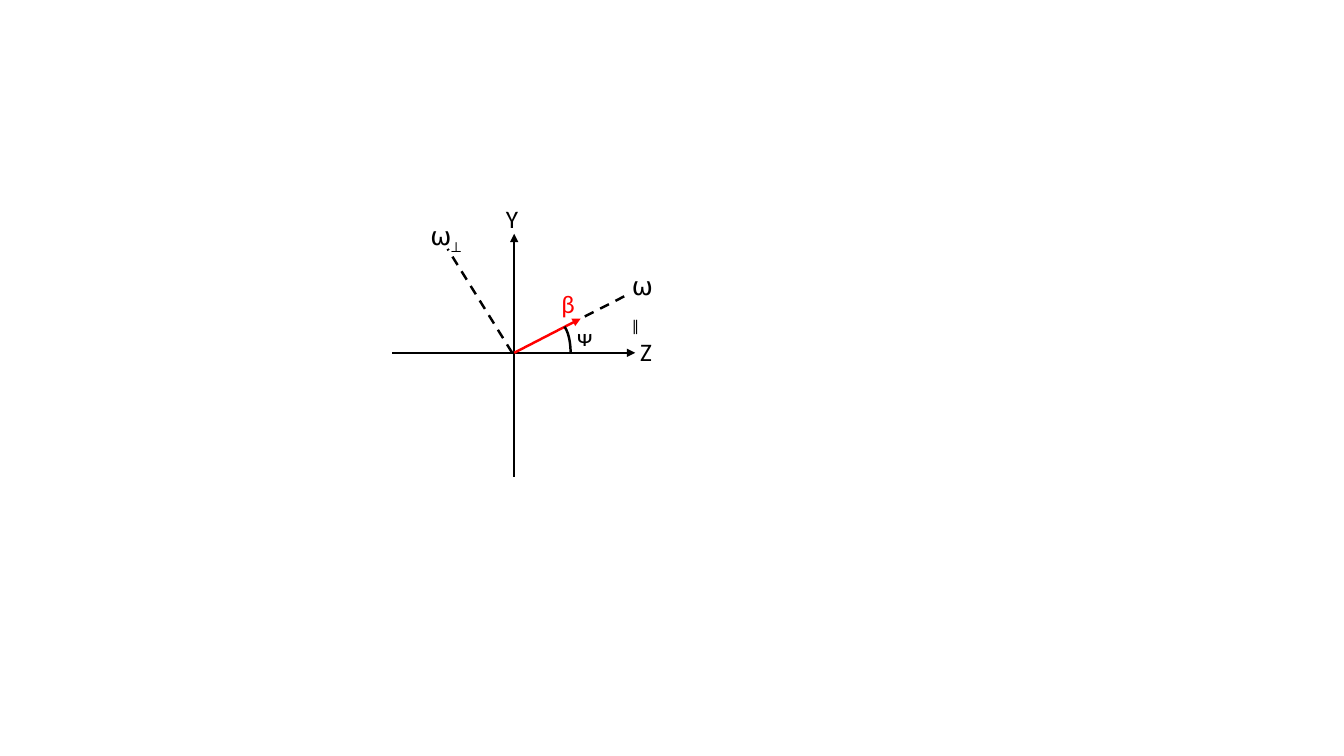
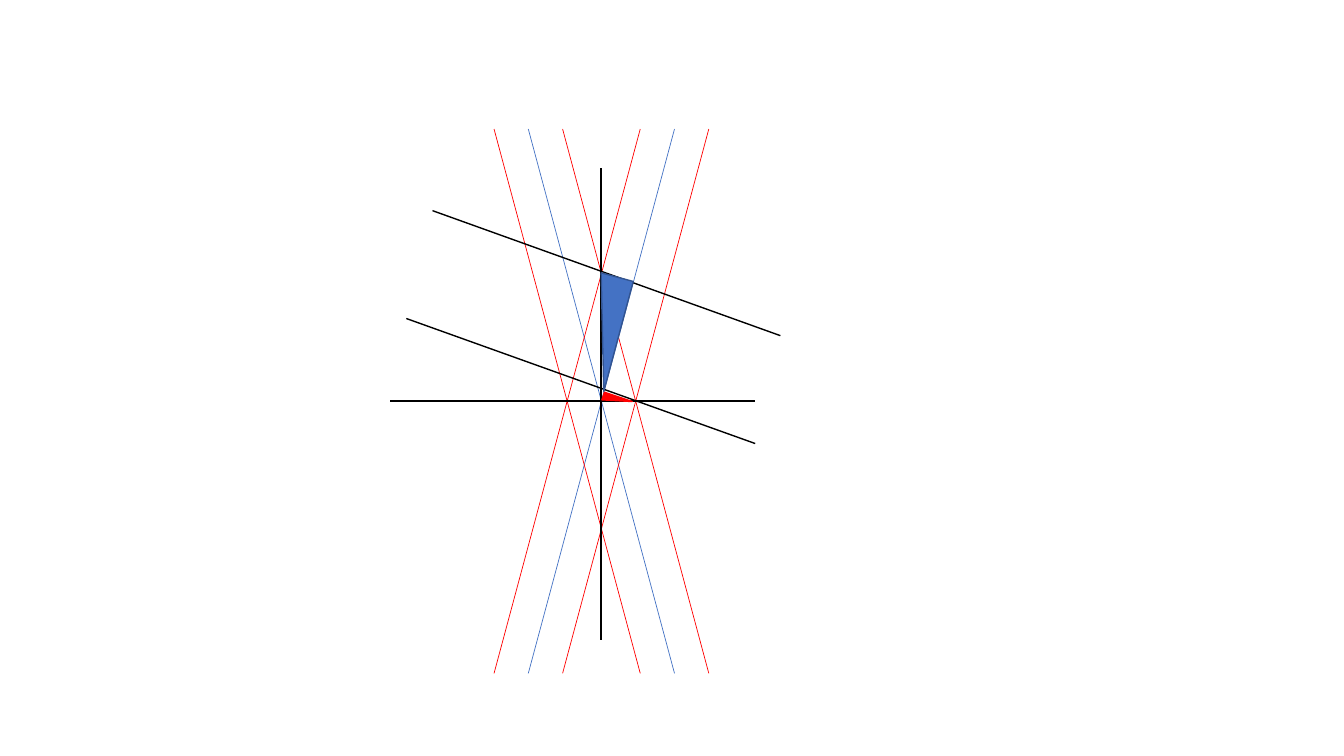
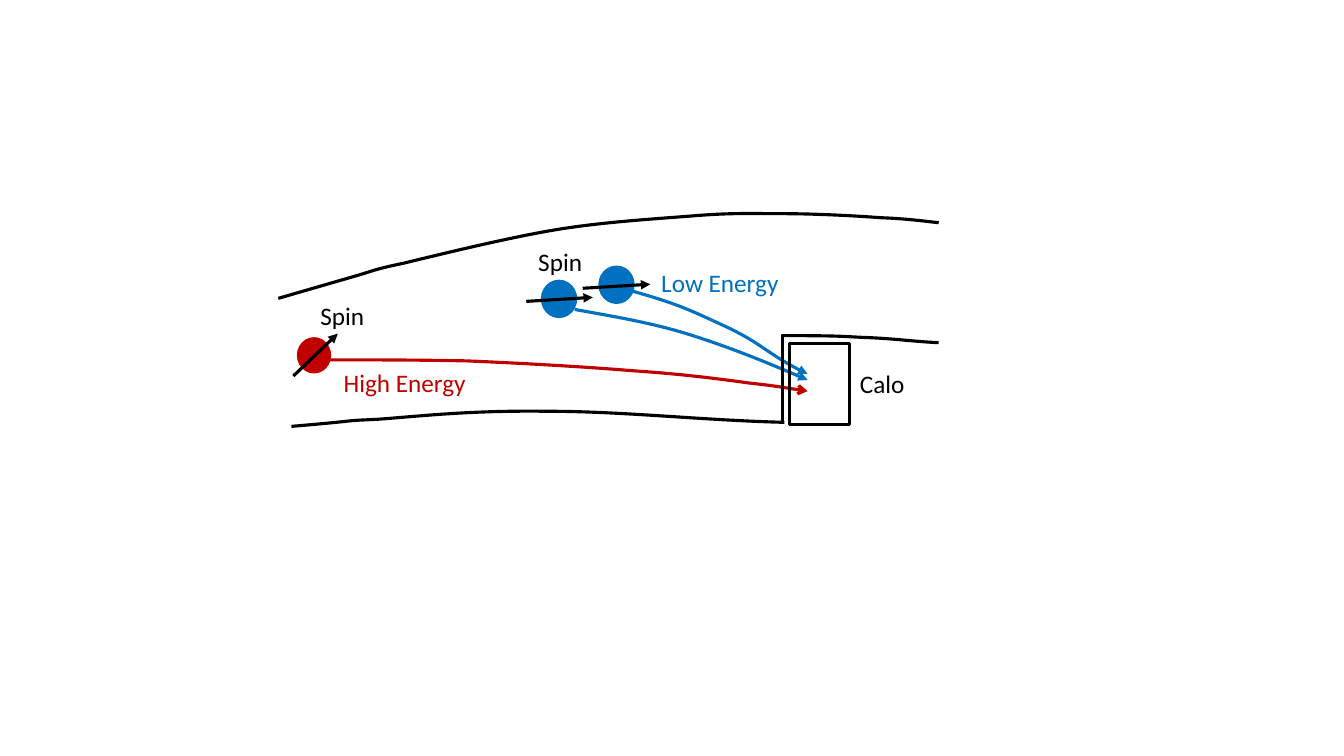
"""Three physics sketches: spin axes, crossing bands and decay paths into a calorimeter."""
from lxml.etree import SubElement
from pptx import Presentation
from pptx.dml.color import RGBColor
from pptx.enum.dml import MSO_LINE
from pptx.enum.shapes import MSO_CONNECTOR, MSO_SHAPE
from pptx.enum.text import MSO_AUTO_SIZE
from pptx.oxml.ns import qn
from pptx.util import Inches, Pt

BLACK = RGBColor(0x00, 0x00, 0x00)
RED = RGBColor(0xFF, 0x00, 0x00)
BLUE = RGBColor(0x44, 0x72, 0xC4)
EDGE_BLUE = RGBColor(0x32, 0x54, 0x91)
LOW_BLUE = RGBColor(0x00, 0x70, 0xC0)
HIGH_RED = RGBColor(0xC0, 0x00, 0x00)
FONT = "Calibri"


def add_label(slide, text, left, top, width, color=BLACK, subscript="", wrap=False):
    box = slide.shapes.add_textbox(Inches(left), Inches(top), Inches(width), Inches(0.4))
    frame = box.text_frame
    frame.word_wrap = wrap
    frame.auto_size = MSO_AUTO_SIZE.SHAPE_TO_FIT_TEXT
    for part in filter(None, (text, subscript)):
        run = frame.paragraphs[0].add_run()
        run.text = part
        run.font.name = FONT
        run.font.size = Pt(18)
        run.font.color.rgb = color
    if subscript:
        run.font._element.set("baseline", "-25000")


def style_outline(shape, color, width, arrow=None, dash=None):
    shape.line.color.rgb = color
    shape.line.width = Pt(width)
    if dash:
        shape.line.dash_style = dash
    properties = shape._element.spPr
    if arrow:
        SubElement(properties.find(qn("a:ln")), qn("a:tailEnd"), type=arrow)
    SubElement(properties, qn("a:effectLst"))


prs = Presentation()
prs.slide_width = Inches(13.33)
prs.slide_height = Inches(7.5)
axes_slide, bands_slide, decay_slide = [
    prs.slides.add_slide(prs.slide_layouts[6]) for _ in range(3)
]

curves = [
    (BLACK, None, (2.76, 2.96), [
        ((3.52, 2.74),),
        ((3.73, 2.68), (3.68, 2.68), (4.01, 2.61)),
        ((4.34, 2.53), (5.03, 2.36), (5.51, 2.28)),
        ((5.99, 2.2), (6.53, 2.17), (6.9, 2.14)),
        ((7.28, 2.11), (7.45, 2.12), (7.76, 2.12)),
        ((8.06, 2.12), (8.47, 2.14), (8.73, 2.16)),
        ((8.99, 2.17), (9.13, 2.19), (9.31, 2.21)),
    ]),
    (BLACK, None, (2.89, 4.23), [
        ((3.71, 4.16), (3.32, 4.18), (3.74, 4.16)),
        ((4.16, 4.13), (4.64, 4.07), (5.42, 4.08)),
        ((6.19, 4.08), (6.96, 4.17), (7.78, 4.19)),
    ]),
    (BLACK, None, (7.75, 3.33), [
        ((8.4, 3.33), (8.35, 3.34), (8.61, 3.35)),
        ((8.87, 3.36), (9.08, 3.39), (9.31, 3.4)),
    ]),
    (LOW_BLUE, "triangle", (5.7, 3.07), [
        ((6.08, 3.14), (6.46, 3.2), (6.84, 3.32)),
        ((7.22, 3.44), (7.62, 3.6), (8.01, 3.77)),
    ]),
    (LOW_BLUE, "triangle", (6.28, 2.89), [
        ((6.74, 3.02), (6.85, 3.08), (7.2, 3.24)),
        ((7.56, 3.41), (7.6, 3.51), (8.01, 3.71)),
    ]),
    (HIGH_RED, "arrow", (3.26, 3.57), [
        ((3.69, 3.57), (4.11, 3.57), (4.62, 3.58)),
        ((5.12, 3.6), (5.83, 3.64), (6.3, 3.68)),
        ((6.76, 3.71), (7.14, 3.76), (7.43, 3.8)),
        ((7.71, 3.83), (7.86, 3.86), (8.01, 3.88)),
    ]),
]
for color, arrow, start, segments in curves:
    builder = decay_slide.shapes.build_freeform(Inches(start[0]), Inches(start[1]))
    builder.add_line_segments(
        [(Inches(points[-1][0]), Inches(points[-1][1])) for points in segments], close=False)
    curve = builder.convert_to_shape()
    pieces = list(curve._element.spPr.iter(qn("a:lnTo")))
    for piece, points in zip(pieces, segments):
        if len(points) == 3:
            piece.tag = qn("a:cubicBezTo")
            for position, (x, y) in enumerate(points[:2]):
                control = SubElement(piece, qn("a:pt"), x=str(Inches(x) - curve.left),
                                     y=str(Inches(y) - curve.top))
                piece.insert(position, control)
    curve.fill.background()
    style_outline(curve, color, 2.25, arrow=arrow)

for left, top, color, width in (
    (5.95, 2.65, LOW_BLUE, 2.25),
    (5.38, 2.79, LOW_BLUE, 2.25),
    (2.95, 3.35, HIGH_RED, 0.75),
):
    particle = decay_slide.shapes.add_shape(
        MSO_SHAPE.OVAL, Inches(left), Inches(top), Inches(0.33), Inches(0.35))
    particle.fill.solid()
    particle.fill.fore_color.rgb = color
    style_outline(particle, color, width)

strokes = [
    (axes_slide, (5.1, 4.73), (5.1, 2.32), BLACK, 1.5, "triangle", None),
    (axes_slide, (3.89, 3.5), (6.3, 3.5), BLACK, 1.5, "triangle", None),
    (axes_slide, (5.1, 3.5), (5.76, 3.16), RED, 1.75, "triangle", None),
    (axes_slide, (5.8, 3.14), (6.25, 2.91), BLACK, 1.75, None, MSO_LINE.DASH),
    (axes_slide, (5.08, 3.5), (4.44, 2.47), BLACK, 1.75, None, MSO_LINE.DASH),
    (decay_slide, (7.76, 3.32), (7.76, 4.2), BLACK, 2.25, None, None),
]
for shift, color in ((0, BLUE), (0.34, RED), (-0.34, RED)):
    for bottom, top in ((5.24, 6.69), (6.69, 5.24)):
        strokes.append((bands_slide, (bottom + shift, 6.68), (top + shift, 1.28),
                        color, 0.5, None, None))
for start, end in (
    ((4.29, 2.09), (7.74, 3.33)),
    ((5.96, 1.67), (5.96, 6.35)),
    ((3.87, 3.98), (7.49, 3.98)),
    ((4.03, 3.16), (7.49, 4.4)),
):
    strokes.append((bands_slide, start, end, BLACK, 1, None, None))
for start, end in (
    ((2.91, 3.73), (3.35, 3.31)),
    ((5.22, 2.99), (5.88, 2.95)),
    ((5.78, 2.86), (6.45, 2.82)),
):
    strokes.append((decay_slide, start, end, BLACK, 2.25, "triangle", None))

for slide, start, end, color, width, arrow, dash in strokes:
    stroke = slide.shapes.add_connector(
        MSO_CONNECTOR.STRAIGHT, *[Inches(value) for value in (*start, *end)])
    style_outline(stroke, color, width, arrow=arrow, dash=dash)

for left, top, width, height, rotation, fill, edge in (
    (5.81, 2.73, 0.33, 1.13, 195, BLUE, EDGE_BLUE),
    (6.08, 3.83, 0.08, 0.29, 108.6, RED, RED),
):
    wedge = bands_slide.shapes.add_shape(
        MSO_SHAPE.RIGHT_TRIANGLE, Inches(left), Inches(top), Inches(width), Inches(height))
    wedge.rotation = rotation
    wedge.fill.solid()
    wedge.fill.fore_color.rgb = fill
    style_outline(wedge, edge, 1)

angle_arc = axes_slide.shapes.add_shape(
    MSO_SHAPE.ARC, Inches(5.46), Inches(3.22), Inches(0.2), Inches(0.57))
angle_arc.adjustments[0] = 166.96
angle_arc.adjustments[1] = 0
angle_arc.fill.background()
style_outline(angle_arc, BLACK, 1.75)

add_label(axes_slide, "⍵", 6.17, 2.63, 0.47, subscript="∥", wrap=True)
add_label(axes_slide, "β", 5.47, 2.81, 0.34, color=RED, wrap=True)
add_label(axes_slide, "⍵", 4.17, 2.14, 0.53, subscript="⟂")
add_label(axes_slide, "Z", 6.25, 3.29, 0.32)
add_label(axes_slide, "Y", 4.92, 1.97, 0.32)
add_label(axes_slide, "ᴪ", 5.62, 3.14, 0.36)

add_label(decay_slide, "Spin", 5.24, 2.39, 0.64)
add_label(decay_slide, "Spin", 3.08, 2.93, 0.64)
add_label(decay_slide, "Low Energy", 6.46, 2.6, 1.38, color=LOW_BLUE)
add_label(decay_slide, "High Energy", 3.31, 3.59, 1.43, color=HIGH_RED)
add_label(decay_slide, "Calo", 8.43, 3.6, 0.65)

calorimeter = decay_slide.shapes.add_shape(
    MSO_SHAPE.RECTANGLE, Inches(7.83), Inches(3.41), Inches(0.6), Inches(0.8))
calorimeter.fill.background()
style_outline(calorimeter, BLACK, 2.25)

prs.save("out.pptx")
